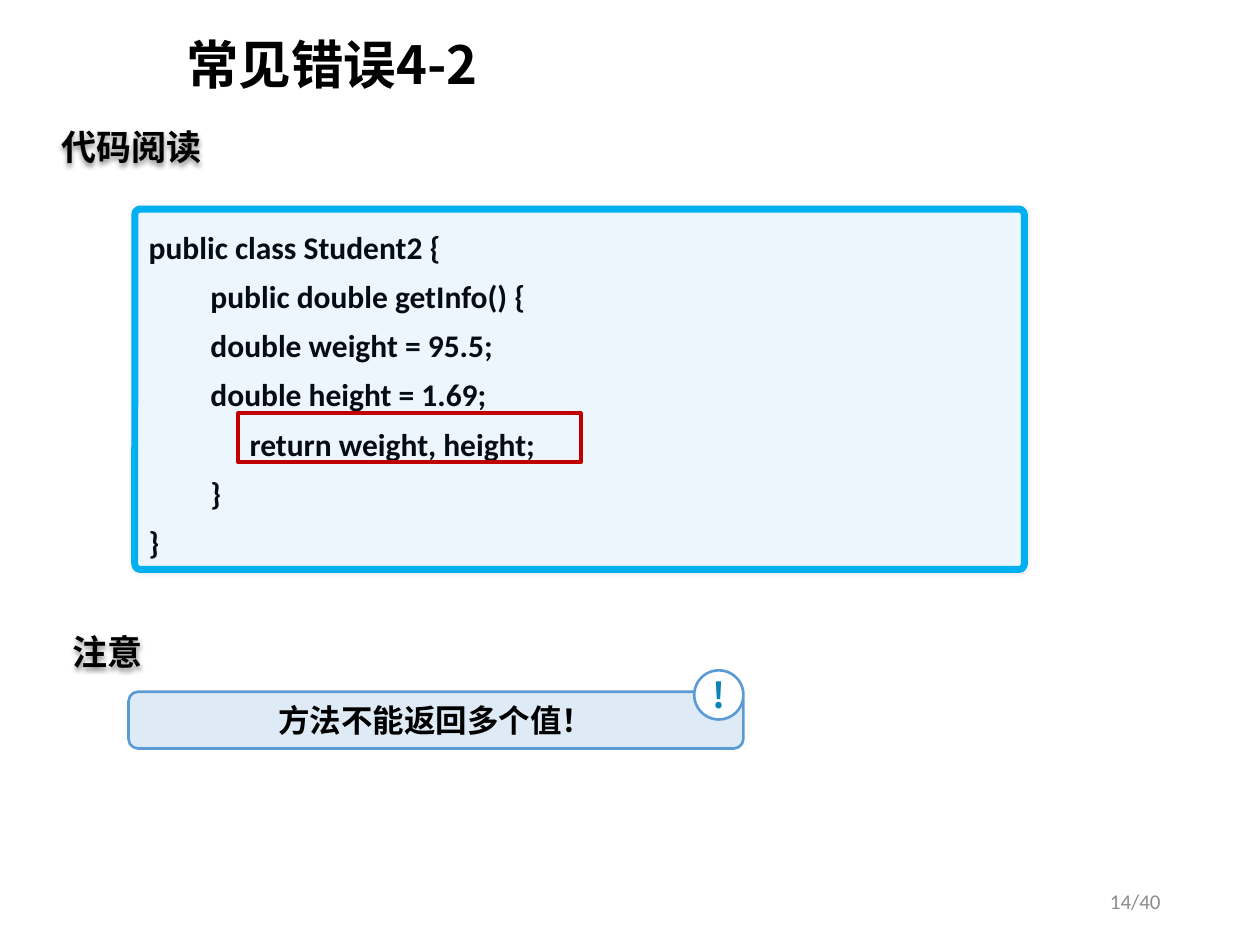
from lxml.etree import SubElement
from pptx import Presentation
from pptx.dml.color import RGBColor
from pptx.enum.shapes import MSO_SHAPE
from pptx.enum.text import MSO_ANCHOR, PP_ALIGN
from pptx.oxml.ns import qn
from pptx.util import Inches, Pt

BLACK = RGBColor(0x00, 0x00, 0x00)
WHITE = RGBColor(0xFF, 0xFF, 0xFF)
GRAY = RGBColor(0x8C, 0x8C, 0x8C)
CODE_INK = RGBColor(0x06, 0x0B, 0x14)
CODE_FILL = RGBColor(0xED, 0xF5, 0xFD)
CYAN = RGBColor(0x00, 0xB0, 0xF0)
NOTE_FILL = RGBColor(0xDE, 0xEB, 0xF7)
NOTE_LINE = RGBColor(0x5B, 0x9B, 0xD5)
MARK_BLUE = RGBColor(0x0C, 0x83, 0xB8)
RED = RGBColor(0xC0, 0x00, 0x00)

LATIN = "Calibri"
CHINESE = "Noto Sans CJK SC"
CODE_TABS = (0.49, 0.8)
CODE_LINES = (
    "public class Student2 {",
    "\tpublic double getInfo() {",
    "       \tdouble weight = 95.5;",
    "       \tdouble height = 1.69;",
    " \t\treturn weight, height;",
    "    \t}",
    "}",
)


def add_box(slide, kind, box, fill, line, width, corner=None):
    """Add a preset shape with its fill and outline."""
    shape = slide.shapes.add_shape(kind, *map(Inches, box))
    shape.shadow.inherit = False
    if corner is not None:
        shape.adjustments[0] = corner
    if fill is None:
        shape.fill.background()
    else:
        shape.fill.solid()
        shape.fill.fore_color.rgb = fill
    shape.line.color.rgb = line
    shape.line.width = Pt(width)
    return shape


def add_shadow(shape, opacity, blur, distance):
    """Give a shape a soft black shadow falling downwards."""
    shape.shadow.inherit = False
    effects = shape._element.spPr.find(qn("a:effectLst"))
    shadow = SubElement(effects, qn("a:outerShdw"), blurRad=str(Pt(blur)),
                        dist=str(Pt(distance)), dir="5400000", algn="ctr", rotWithShape="0")
    color = SubElement(shadow, qn("a:srgbClr"), val=str(BLACK))
    SubElement(color, qn("a:alpha"), val=str(opacity * 1000))


def add_tabs(paragraph, positions):
    """Set the left tab stops of a paragraph."""
    tabs = SubElement(paragraph._p.get_or_add_pPr(), qn("a:tabLst"))
    for position in positions:
        SubElement(tabs, qn("a:tab"), pos=str(Inches(position)), algn="l")


def write(shape, lines, size, color, name=CHINESE, bold=True, align=PP_ALIGN.LEFT,
          anchor=MSO_ANCHOR.MIDDLE, spacing=None, tabs=(), wrap=True):
    """Write one paragraph for each line of text into a shape."""
    frame = shape.text_frame
    frame.word_wrap = wrap
    frame.vertical_anchor = anchor
    formats = {"size": Pt(size), "name": name, "bold": bold}
    for index, line in enumerate(lines):
        paragraph = frame.add_paragraph() if index else frame.paragraphs[0]
        if tabs:
            add_tabs(paragraph, tabs)
        paragraph.alignment = align
        paragraph.line_spacing = spacing
        run = paragraph.add_run()
        run.text = line
        for key, value in formats.items():
            setattr(run.font, key, value)
        run.font.color.rgb = color
        SubElement(run._r.get_or_add_rPr(), qn("a:ea"), typeface=name)


def add_text(slide, box, text, size, color, **options):
    """Add a text box holding a single line."""
    shape = slide.shapes.add_textbox(*map(Inches, box))
    write(shape, [text], size, color, **options)
    return shape


def add_heading(slide, box, text):
    """Add a section heading with a text shadow."""
    heading = add_text(slide, box, text, 20, BLACK, wrap=False)
    add_shadow(heading, 43, 3, 2)


def add_code(slide, box):
    """Add the code panel and the frame around its faulty line."""
    left, top, _, _ = box
    panel = add_box(slide, MSO_SHAPE.ROUNDED_RECTANGLE, box, CODE_FILL, CYAN, 4, 0.015)
    add_shadow(panel, 10, 3, 0)
    write(panel, CODE_LINES, 18, CODE_INK, name=LATIN, anchor=MSO_ANCHOR.TOP,
          spacing=1.3, tabs=CODE_TABS)
    add_box(slide, MSO_SHAPE.RECTANGLE, (left + 0.82, top + 1.62, 2.72, 0.39), None, RED, 2.25)


def add_note(slide, box, text):
    """Add the note bar with an exclamation badge at its top right corner."""
    left, top, width, _ = box
    badge_size = 0.39
    bar = add_box(slide, MSO_SHAPE.ROUNDED_RECTANGLE, box, NOTE_FILL, NOTE_LINE, 1.5, 0.167)
    write(bar, [text], 18, BLACK, align=PP_ALIGN.CENTER)
    badge_box = (left + width - badge_size, top - 0.17, badge_size, badge_size)
    badge = add_box(slide, MSO_SHAPE.OVAL, badge_box, WHITE, NOTE_LINE, 1.5)
    write(badge, ["!"], 20, MARK_BLUE, align=PP_ALIGN.CENTER, wrap=False)


def main():
    """Build and save the slide."""
    presentation = Presentation()
    presentation.slide_width = Inches(10)
    presentation.slide_height = Inches(7.5)
    slide = presentation.slides.add_slide(presentation.slide_layouts[6])
    add_text(slide, (1.38, 0.1, 8.62, 0.87), "常见错误4-2", 30, BLACK, spacing=0.9)
    add_heading(slide, (0.39, 0.94, 1.33, 0.44), "代码阅读")
    add_code(slide, (1.07, 1.66, 7.06, 2.86))
    add_heading(slide, (0.48, 4.95, 0.77, 0.44), "注意")
    add_note(slide, (1.02, 5.49, 4.88, 0.45), "方法不能返回多个值！")
    add_text(slide, (7.06, 6.95, 2.25, 0.4), "14/40", 12, GRAY, name=LATIN,
             bold=False, align=PP_ALIGN.RIGHT)
    presentation.save("out.pptx")


if __name__ == "__main__":
    main()
